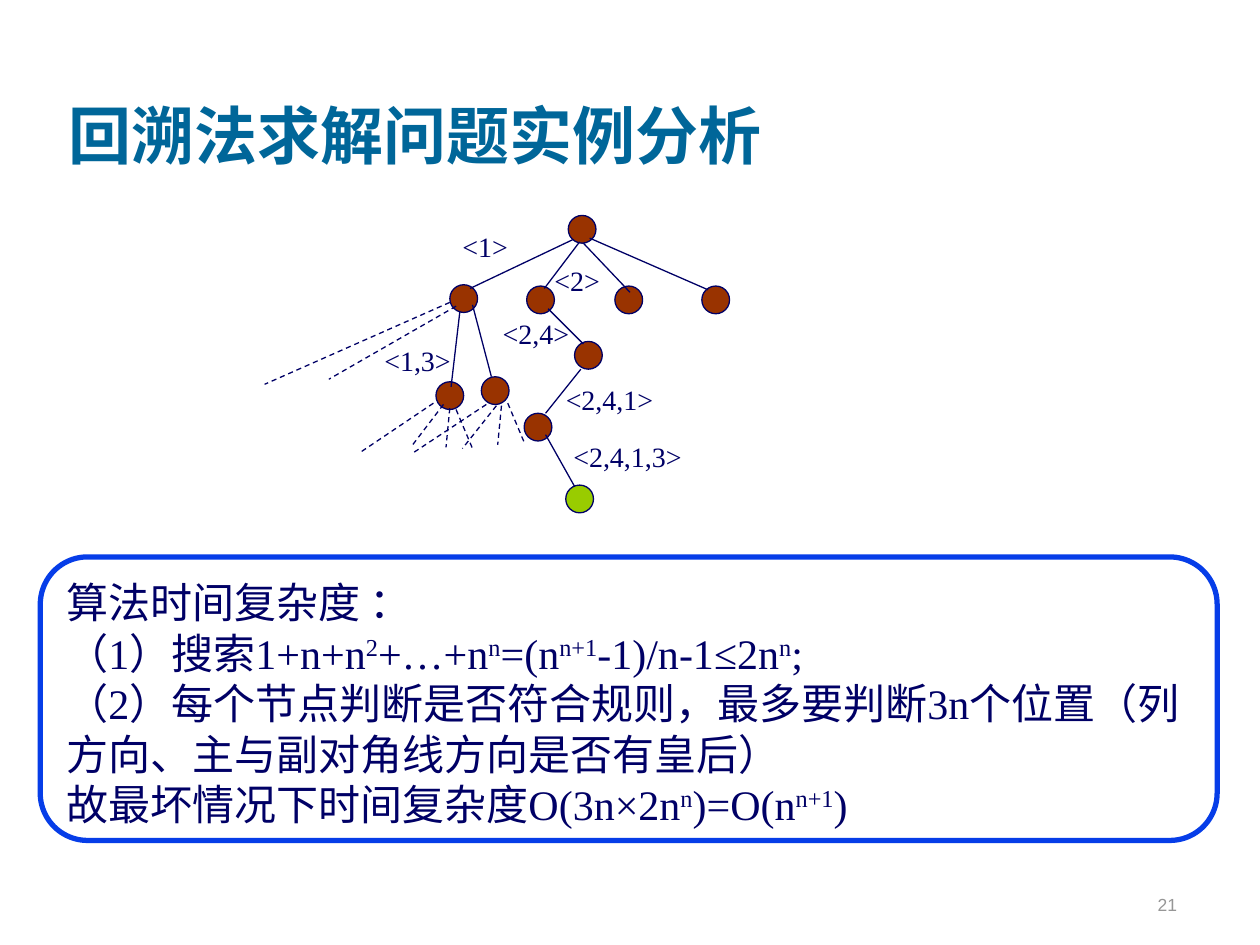
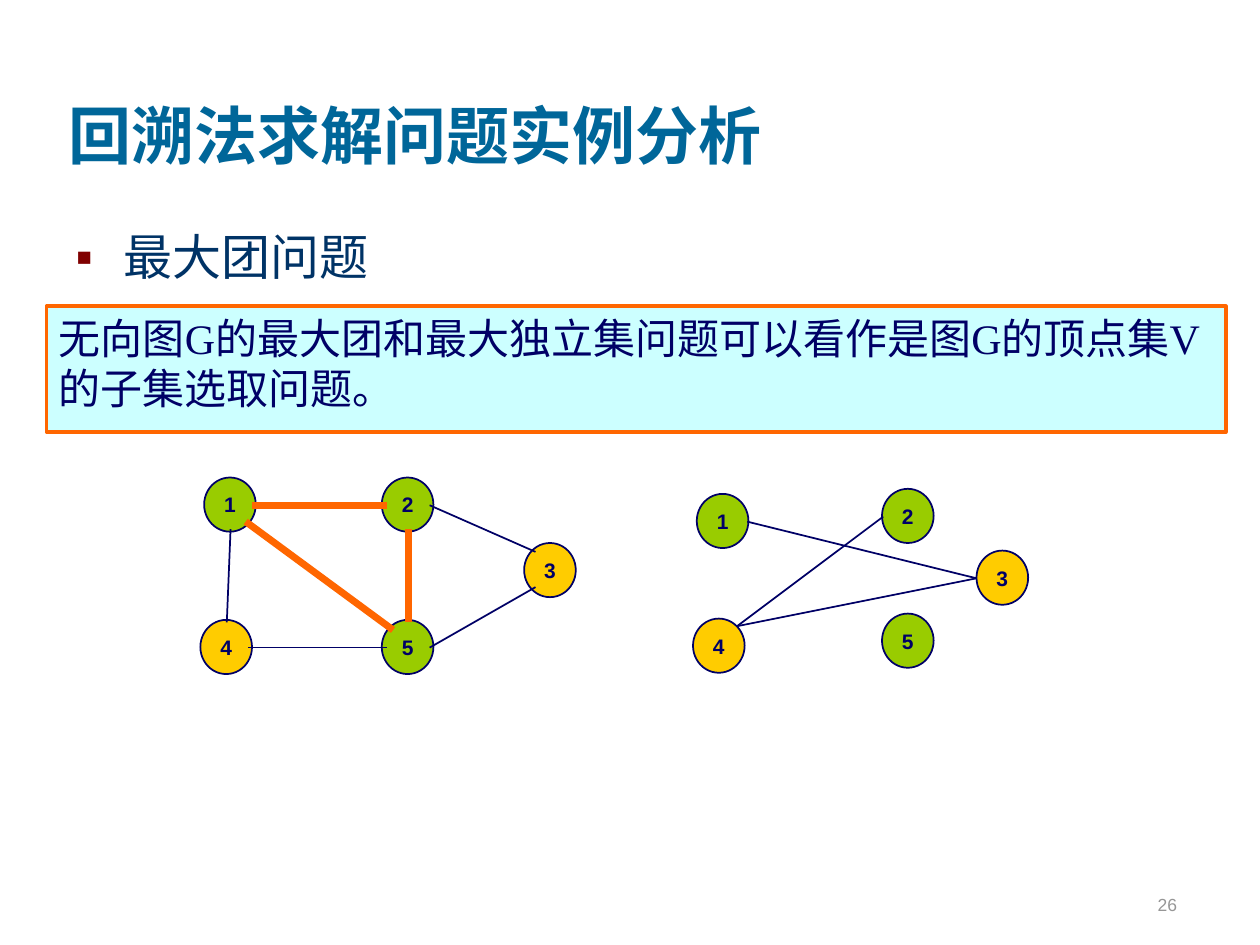
"""Two lecture slides on backtracking: a search tree and the maximum clique."""
from lxml import etree
from pptx import Presentation
from pptx import util as u
from pptx.dml.color import RGBColor
from pptx.enum import dml, shapes, text
from pptx.oxml.ns import qn

PX = 9144
NAVY = RGBColor(0x00, 0x00, 0x66)
TEAL = RGBColor(0x00, 0x66, 0x99)
DEEP_BLUE = RGBColor(0x00, 0x33, 0x66)
BRIGHT_BLUE = RGBColor(0x06, 0x3D, 0xE8)
GRAY = RGBColor(0x96, 0x96, 0x96)
MAROON = RGBColor(0x80, 0x00, 0x00)
BROWN = RGBColor(0x99, 0x33, 0x00)
GREEN = RGBColor(0x99, 0xCC, 0x00)
YELLOW = RGBColor(0xFF, 0xCC, 0x00)
ORANGE = RGBColor(0xFF, 0x66, 0x00)
PALE_CYAN = RGBColor(0xCC, 0xFF, 0xFF)
WHITE = RGBColor(0xFF, 0xFF, 0xFF)

TITLE = "回溯法求解问题实例分析"
TITLE_FONT = {"name": "Cambria", "size": u.Pt(36), "bold": True}
BULLET_FONT = {"name": "Cambria", "size": u.Pt(28), "bold": False}
PANEL_FONT = {"name": "Times New Roman", "size": u.Pt(24)}
LABEL_FONT = {"name": "Times New Roman", "size": u.Pt(16)}
NUMBER_FONT = {"name": "Arial", "size": u.Pt(10)}
VERTEX_FONT = {"name": "Arial", "size": u.Pt(12), "bold": True}

LEFT = {"alignment": text.PP_ALIGN.LEFT, "space_before": u.Pt(0)}
CENTER = {"alignment": text.PP_ALIGN.CENTER}
TOP = {"vertical_anchor": text.MSO_ANCHOR.TOP, "word_wrap": True,
       "auto_size": text.MSO_AUTO_SIZE.NONE}
BOTTOM = {**TOP, "vertical_anchor": text.MSO_ANCHOR.BOTTOM}
NO_MARGINS = dict.fromkeys(
    ["margin_left", "margin_top", "margin_right", "margin_bottom"], 0)
LABEL_FRAME = {**TOP, **NO_MARGINS}
VERTEX_FRAME = {**NO_MARGINS, "word_wrap": False,
                "vertical_anchor": text.MSO_ANCHOR.MIDDLE}

TREE_NODE_SIZE = 22
TREE_NODES = [(451, 171), (357, 226), (418, 227), (488, 227), (557, 227),
              (346, 303), (382, 299), (456, 271), (416, 328)]
SOLUTION_NODE = (449, 385)
TREE_EDGES = [
    (455, 190, 373, 229), (468, 189, 562, 230), (460, 192, 432, 229),
    (463, 193, 500, 232), (375, 242, 390, 299), (365, 247, 358, 307),
    (435, 245, 463, 273), (461, 293, 433, 328), (433, 345, 456, 386)]
PRUNED_EDGES = [
    (357, 240, 210, 305), (362, 243, 261, 301), (344, 320, 286, 359),
    (352, 321, 326, 355), (357, 324, 354, 355), (362, 325, 375, 356),
    (386, 321, 327, 360), (394, 322, 367, 356), (398, 322, 395, 353),
    (403, 320, 416, 351)]
TREE_LABELS = [
    ("<1>", 367, 182, 42), ("<1,3>", 305, 273, 55), ("<2>", 440, 209, 42),
    ("<2,4>", 399, 251, 57), ("<2,4,1>", 449, 304, 79),
    ("<2,4,1,3>", 455, 349, 92)]
COMPLEXITY = [
    "算法时间复杂度 ：",
    "（1）搜索1+n+n^2^+…+n^n^=(n^n+1^-1)/n-1≤2n^n^;",
    "（2）每个节点判断是否符合规则，最多要判断3n个位置"
    "（列方向、主与副对角线方向是否有皇后）",
    "故最坏情况下时间复杂度O(3n×2n^n^)=O(n^n+1^)"]

VERTEX_COLORS = {"1": GREEN, "2": GREEN, "3": YELLOW, "4": YELLOW, "5": GREEN}
CLIQUE_VERTICES = {"1": (162, 379), "2": (303, 379), "4": (159, 492),
                   "5": (303, 492), "3": (416, 431)}
CLIQUE_EDGES = [(200, 401, 307, 401), (324, 494, 324, 420),
                (195, 414, 312, 500)]
OTHER_EDGES = [(183, 420, 180, 494), (197, 514, 307, 514),
               (425, 438, 341, 401), (341, 514, 425, 466)]
COMPLEMENT_VERTICES = {"1": (553, 392), "2": (700, 388), "4": (550, 491),
                       "5": (700, 487), "3": (775, 437)}
COMPLEMENT_EDGES = [(593, 414, 775, 459), (585, 497, 775, 459),
                    (585, 497, 701, 410)]
CLIQUE_TEXT = "无向图G的最大团和最大独立集问题可以看作是图G的顶点集V的子集选取问题。"


def px(*lengths):
    """Turn px lengths into EMU."""
    return [u.Emu(length * PX) for length in lengths]


def apply(target, values):
    """Set every attribute in a dict of format values."""
    for name, value in values.items():
        setattr(target, name, value)


def write(frame, lines, font, color, frame_format, paragraph_format):
    """Fill a text frame; parts between carets become superscripts."""
    apply(frame, frame_format)
    for index, line in enumerate(lines):
        paragraph = frame.add_paragraph() if index else frame.paragraphs[0]
        apply(paragraph, paragraph_format)
        for part_index, part in enumerate(line.split("^")):
            run = paragraph.add_run()
            run.text = part
            apply(run.font, font)
            run.font.color.rgb = color
            if part_index % 2:
                run.font._element.set("baseline", "30000")


def place(shape, left, top, width, height):
    """Move and size a placeholder."""
    names = ("left", "top", "width", "height")
    apply(shape, dict(zip(names, px(left, top, width, height))))


def add_shape(canvas, kind, box, fill, line, weight):
    """Add a filled and outlined preset shape without a shadow."""
    shape = canvas.add_shape(kind, *px(*box))
    shape.shadow.inherit = False
    shape.fill.solid()
    shape.fill.fore_color.rgb = fill
    shape.line.color.rgb = line
    shape.line.width = u.Pt(weight)
    return shape


def add_edges(canvas, edges, color, weight, dash=None):
    """Add straight connectors from a list of end points."""
    for ends in edges:
        connector = canvas.add_connector(
            shapes.MSO_CONNECTOR.STRAIGHT, *px(*ends))
        connector.line.color.rgb = color
        connector.line.width = u.Pt(weight)
        if dash:
            connector.line.dash_style = dash
        etree.SubElement(connector._element.spPr, qn("a:effectLst"))


def add_text(canvas, box, content, font, color, frame_format, paragraph_format):
    """Add a text box with one line."""
    frame = canvas.add_textbox(*px(*box)).text_frame
    write(frame, [content], font, color, frame_format, paragraph_format)


def add_panel(slide, kind, box, fill, line, weight, lines):
    """Add a framed panel of running text."""
    panel = add_shape(slide.shapes, kind, box, fill, line, weight)
    write(panel.text_frame, lines, PANEL_FONT, NAVY, TOP, LEFT)


def add_vertices(canvas, vertices):
    """Add the numbered vertices of a graph."""
    for name, (left, top) in vertices.items():
        vertex = add_shape(canvas, shapes.MSO_SHAPE.OVAL, (left, top, 41, 43),
                           VERTEX_COLORS[name], NAVY, 1)
        write(vertex.text_frame, [name], VERTEX_FONT, NAVY, VERTEX_FRAME, CENTER)


def add_bullet(body, content):
    """Write one line with a square bullet into the body placeholder."""
    place(body, 50, 175, 894, 488)
    write(body.text_frame, [content], BULLET_FONT, DEEP_BLUE, TOP,
          {**LEFT, "space_before": u.Pt(7)})
    properties = body.text_frame.paragraphs[0]._p.get_or_add_pPr()
    properties.set("marL", str(38 * PX))
    properties.set("indent", str(-38 * PX))
    color = etree.SubElement(properties, qn("a:buClr"))
    etree.SubElement(color, qn("a:srgbClr"), val=str(MAROON))
    etree.SubElement(properties, qn("a:buFont"), typeface="Arial")
    etree.SubElement(properties, qn("a:buChar"), char="▪")


def add_slide(presentation, layout, number):
    """Add a slide with the shared title and its page number."""
    slide = presentation.slides.add_slide(presentation.slide_layouts[layout])
    title = slide.shapes.title
    place(title, 44, 17, 850, 125)
    write(title.text_frame, [TITLE], TITLE_FONT, TEAL, BOTTOM, LEFT)
    add_text(slide.shapes, (736, 681, 208, 50), str(number), NUMBER_FONT, GRAY,
             BOTTOM, {"alignment": text.PP_ALIGN.RIGHT,
                      "space_before": u.Pt(6.2)})
    return slide


def build_tree_slide(presentation):
    """Build the search tree with its time complexity."""
    slide = add_slide(presentation, 5, 21)
    tree = slide.shapes.add_group_shape().shapes
    for position in TREE_NODES + [SOLUTION_NODE]:
        fill = GREEN if position == SOLUTION_NODE else BROWN
        add_shape(tree, shapes.MSO_SHAPE.OVAL,
                  (*position, TREE_NODE_SIZE, TREE_NODE_SIZE), fill, NAVY, 0.75)
    add_edges(tree, TREE_EDGES, NAVY, 0.75)
    add_edges(tree, PRUNED_EDGES, NAVY, 0.75, dml.MSO_LINE.DASH)
    for label, left, top, width in TREE_LABELS:
        add_text(tree, (left, top, width, 27), label, LABEL_FONT, NAVY,
                 LABEL_FRAME, {**LEFT, "space_before": u.Pt(10)})
    add_panel(slide, shapes.MSO_SHAPE.ROUNDED_RECTANGLE, (32, 442, 934, 225),
              WHITE, BRIGHT_BLUE, 3, COMPLEXITY)


def build_clique_slide(presentation):
    """Build the maximum clique graph beside its complement."""
    slide = add_slide(presentation, 1, 26)
    add_bullet(slide.placeholders[1], "最大团问题")
    graph = slide.shapes.add_group_shape().shapes
    add_vertices(graph, CLIQUE_VERTICES)
    add_edges(graph, CLIQUE_EDGES, ORANGE, 4)
    add_edges(graph, OTHER_EDGES, NAVY, 1)
    complement = slide.shapes.add_group_shape().shapes
    add_vertices(complement, COMPLEMENT_VERTICES)
    add_edges(complement, COMPLEMENT_EDGES, NAVY, 1)
    add_panel(slide, shapes.MSO_SHAPE.RECTANGLE, (37, 243, 936, 100),
              PALE_CYAN, ORANGE, 2, [CLIQUE_TEXT])


def main():
    """Build both slides and save the presentation."""
    presentation = Presentation()
    presentation.slide_width, presentation.slide_height = px(1000, 750)
    build_tree_slide(presentation)
    build_clique_slide(presentation)
    presentation.save("out.pptx")


if __name__ == "__main__":
    main()
